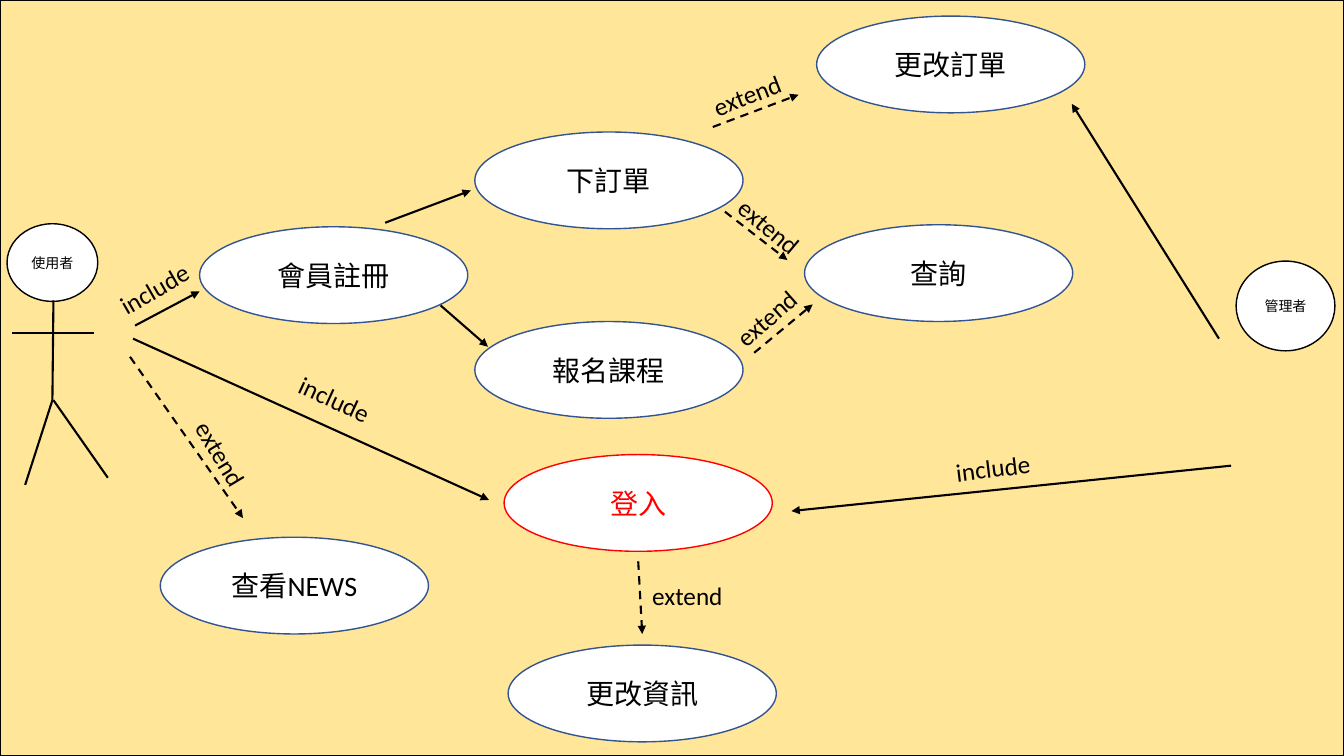
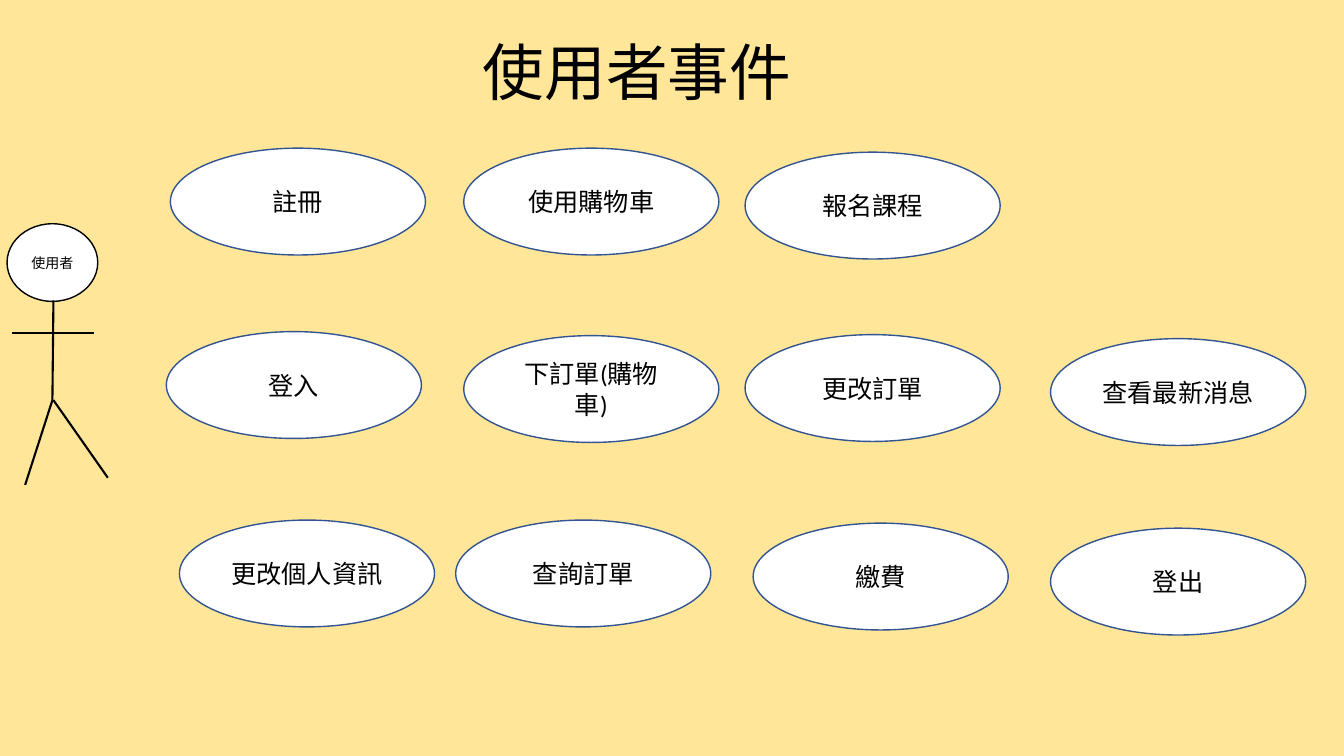
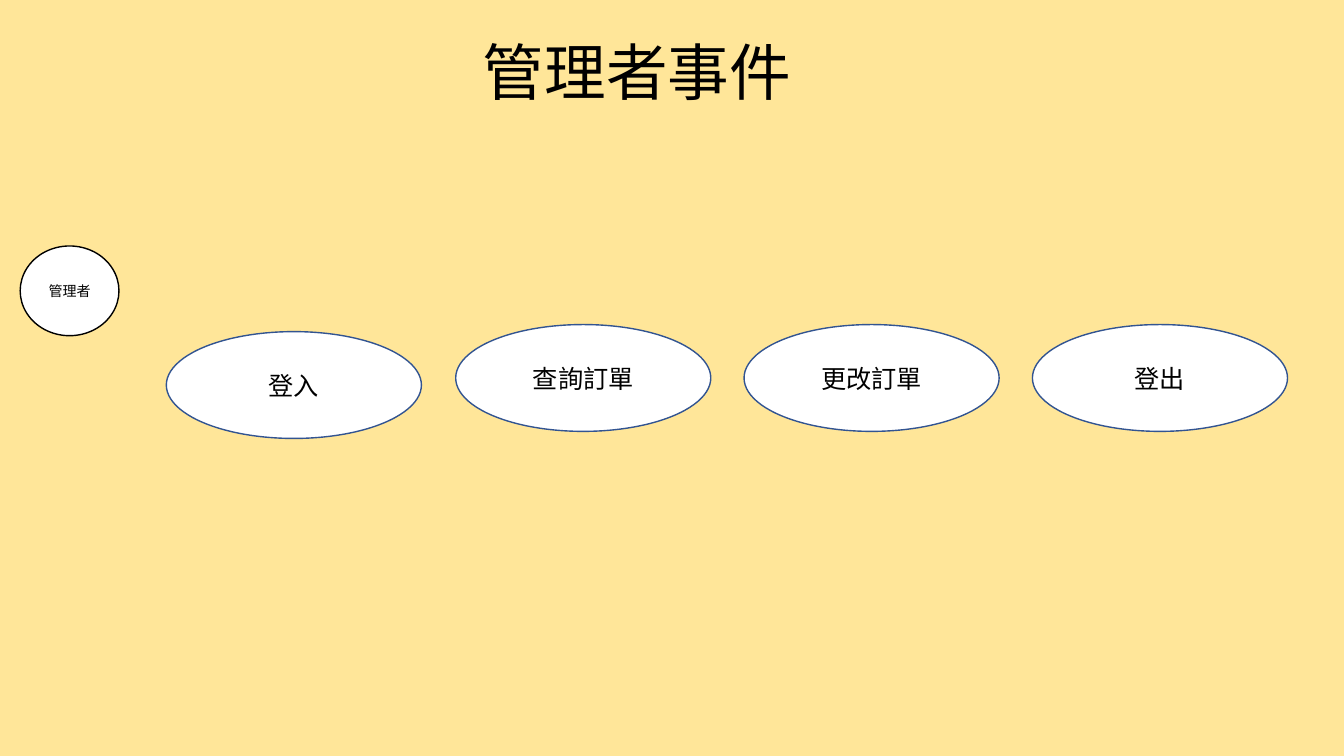
from pptx import Presentation
from pptx import util as u
from pptx.dml.color import RGBColor
from pptx.enum import dml, shapes, text
from pptx.oxml.ns import qn
from lxml import etree

THEME = {
    "font": "Calibri",
    "cream": RGBColor.from_string("FFE699"),
    "white": RGBColor.from_string("FFFFFF"),
    "black": RGBColor.from_string("000000"),
    "blue": RGBColor.from_string("325491"),
    "red": RGBColor.from_string("FF0000"),
    "title": u.Pt(44),
    "case": u.Pt(20),
    "body": u.Pt(18),
    "actor": u.Pt(10),
    "outline": u.Pt(1),
    "stroke": u.Pt(1.5),
}
USER = ("使用者", 0.07, 2.22, 0.9, 0.77)
ADMIN_SIZE = (0.98, 0.89)
CASE_SIZE = (2.66, 0.96)
EVENT_SIZE = (2.53, 1.06)


def add_oval(s, label, x, y, w, h, size, line="blue", color="black"):
    sp = s.shapes.add_shape(shapes.MSO_SHAPE.OVAL, *map(u.Inches, (x, y, w, h)))
    sp.shadow.inherit = False
    sp.fill.solid()
    sp.fill.fore_color.rgb = THEME["white"]
    sp.line.color.rgb = THEME[line]
    sp.line.width = THEME["outline"]
    p = sp.text_frame.paragraphs[0]
    p.alignment = text.PP_ALIGN.CENTER
    r = p.add_run()
    r.text = label
    for name, value in {"name": THEME["font"], "size": THEME[size]}.items():
        setattr(r.font, name, value)
    r.font.color.rgb = THEME[color]


def add_line(s, ends, arrow=False, dashed=False):
    c = s.shapes.add_connector(shapes.MSO_CONNECTOR.STRAIGHT, *map(u.Inches, ends))
    c.line.color.rgb = THEME["black"]
    c.line.width = THEME["stroke"]
    if dashed:
        c.line.dash_style = dml.MSO_LINE.DASH
    props = c._element.spPr
    if arrow:
        etree.SubElement(props.find(qn("a:ln")), qn("a:tailEnd"), type="triangle")
    etree.SubElement(props, qn("a:effectLst"))


prs = Presentation()
prs.slide_width = u.Inches(13.33)
prs.slide_height = u.Inches(7.5)
fill = prs.slide_master.background.fill
fill.solid()
fill.fore_color.rgb = THEME["cream"]

diagram = prs.slides.add_slide(prs.slide_layouts[6])
user_events = prs.slides.add_slide(prs.slide_layouts[5])
admin_events = prs.slides.add_slide(prs.slide_layouts[5])

panel = diagram.shapes.add_shape(
    shapes.MSO_SHAPE.RECTANGLE, 0, 0, prs.slide_width, prs.slide_height)
panel.shadow.inherit = False
panel.fill.solid()
panel.fill.fore_color.rgb = THEME["cream"]
panel.line.color.rgb = THEME["black"]
panel.line.width = THEME["outline"]

for s, title in [(user_events, "使用者事件"), (admin_events, "管理者事件")]:
    sp = s.shapes.title
    box = {"left": 4.69, "top": 0.02, "width": 3.54, "height": 1.45}
    for name, value in box.items():
        setattr(sp, name, u.Inches(value))
    tf = sp.text_frame
    tf.auto_size = text.MSO_AUTO_SIZE.NONE
    tf.vertical_anchor = text.MSO_ANCHOR.MIDDLE
    p = tf.paragraphs[0]
    p.alignment = text.PP_ALIGN.LEFT
    p.line_spacing = 0.9
    r = p.add_run()
    r.text = title
    for name, value in {"name": THEME["font"], "size": THEME["title"]}.items():
        setattr(r.font, name, value)
    r.font.color.rgb = THEME["black"]

for s in (diagram, user_events):
    add_oval(s, *USER, "actor", "black")
    for limb in [
        (0.53, 2.98, 0.52, 3.97),
        (0.52, 3.97, 0.25, 4.81),
        (0.53, 3.97, 1.07, 4.74),
        (0.93, 3.3, 0.12, 3.3),
    ]:
        add_line(s, limb)

for s, x, y in [(diagram, 12.26, 2.59), (admin_events, 0.2, 2.44)]:
    add_oval(s, "管理者", x, y, *ADMIN_SIZE, "actor", "black")

for label, x, y in [
    ("更改訂單", 8.1, 0.16),
    ("下訂單", 4.71, 1.31),
    ("更改資訊", 5.04, 6.4),
    ("會員註冊", 1.98, 2.25),
    ("報名課程", 4.71, 3.19),
    ("查詢", 7.98, 2.23),
    ("查看NEWS", 1.59, 5.33),
]:
    add_oval(diagram, label, x, y, *CASE_SIZE, "case")
add_oval(diagram, "登入", 5, 4.51, *CASE_SIZE, "case", "red", "red")

for ends in [
    (1.34, 3.23, 1.98, 2.89),
    (3.82, 2.21, 4.67, 1.89),
    (4.37, 3.03, 4.84, 3.44),
    (1.32, 3.36, 4.85, 4.96),
    (12.21, 4.62, 7.85, 5.07),
    (12.09, 3.36, 10.63, 1.03),
]:
    add_line(diagram, ends, arrow=True)

for ends in [
    (7.07, 1.26, 7.92, 0.94),
    (7.19, 2.1, 7.81, 2.58),
    (6.33, 5.57, 6.37, 6.29),
    (7.48, 3.5, 8.06, 3.02),
    (1.29, 3.54, 2.41, 5.14),
]:
    add_line(diagram, ends, arrow=True, dashed=True)

LABEL_WIDTH = {"include": 0.95, "extend": 0.91}
for label, x, y, angle in [
    ("include", 9.38, 4.44, 352.9),
    ("extend", 7.18, 2.05, 40.1),
    ("extend", 6.96, 0.74, 338.6),
    ("extend", 7.15, 2.95, 318.6),
    ("include", 2.85, 3.76, 24.8),
    ("include", 1.06, 2.66, 330),
    ("extend", 6.37, 5.71, 0),
    ("extend", 1.74, 4.31, 58.9),
]:
    sp = diagram.shapes.add_textbox(*map(u.Inches, (x, y, LABEL_WIDTH[label], 0.4)))
    sp.rotation = angle
    tf = sp.text_frame
    tf.word_wrap = False
    tf.auto_size = text.MSO_AUTO_SIZE.SHAPE_TO_FIT_TEXT
    r = tf.paragraphs[0].add_run()
    r.text = label
    for name, value in {"name": THEME["font"], "size": THEME["body"]}.items():
        setattr(r.font, name, value)
    r.font.color.rgb = THEME["black"]

for s, events in [
    (user_events, [
        ("註冊", 1.69, 1.47),
        ("使用購物車", 4.6, 1.47),
        ("報名課程", 7.39, 1.51),
        ("登入", 1.65, 3.29),
        ("下訂單(購物車)", 4.6, 3.33),
        ("更改訂單", 7.39, 3.32),
        ("查看最新消息", 10.42, 3.36),
        ("更改個人資訊", 1.78, 5.16),
        ("查詢訂單", 4.52, 5.16),
        ("繳費", 7.47, 5.19),
        ("登出", 10.42, 5.24),
    ]),
    (admin_events, [
        ("登入", 1.65, 3.29),
        ("查詢訂單", 4.52, 3.22),
        ("更改訂單", 7.38, 3.22),
        ("登出", 10.24, 3.22),
    ]),
]:
    for label, x, y in events:
        add_oval(s, label, x, y, *EVENT_SIZE, "body")

prs.save("out.pptx")
